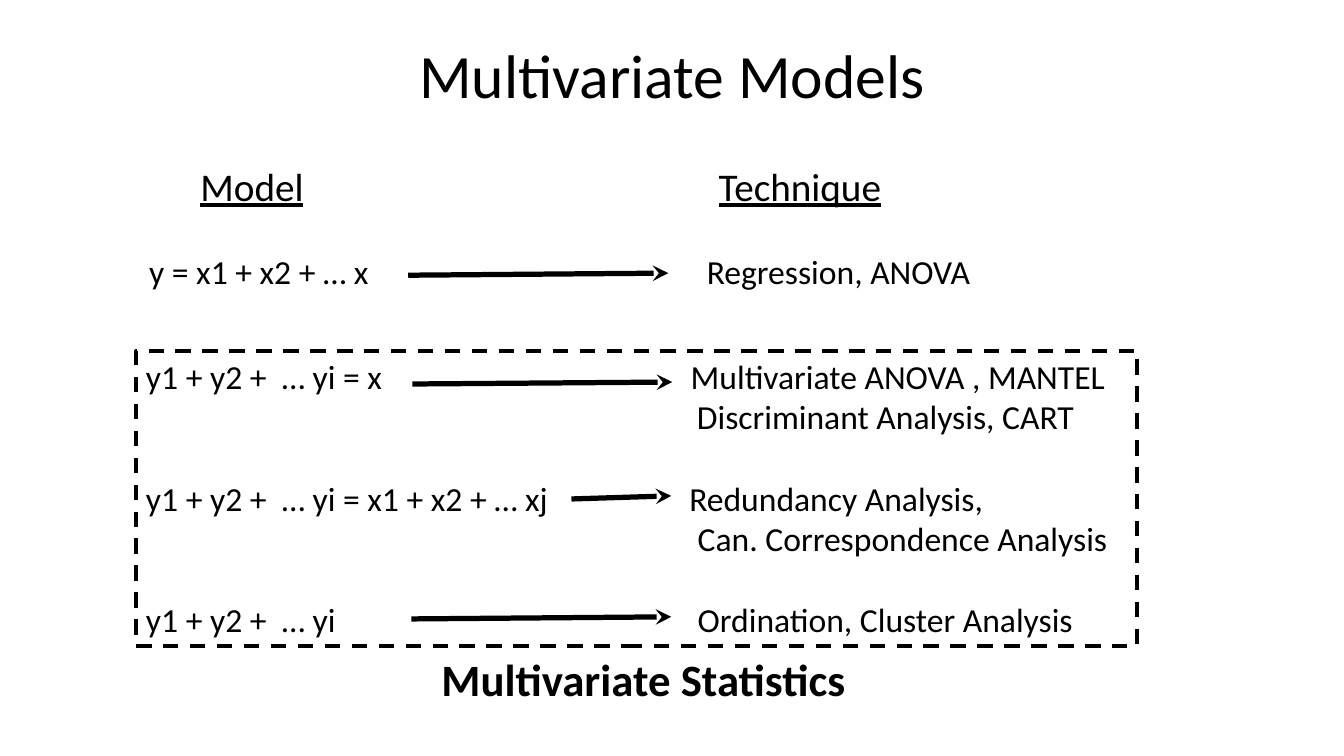
from lxml.etree import SubElement
from pptx import Presentation
from pptx.dml.color import RGBColor
from pptx.enum.dml import MSO_LINE_DASH_STYLE as Dash
from pptx.enum.shapes import MSO_CONNECTOR as Conn, MSO_SHAPE as Shape
from pptx.enum.text import MSO_ANCHOR as Anchor, PP_ALIGN as Align
from pptx.oxml.ns import qn
from pptx.util import Pt

INK = "000000"
FONT = "Calibri"
GAP = 29.3

TITLE = "Multivariate Models"
FOOT = "Multivariate Statistics"
HEADS = [("Model", "Technique", 513.5, 0)]
FIRST = [("y = x1 + x2 + … x", "Regression, ANOVA", 505, 0)]
MULTI = [
    ("y1 + y2 +  … yi = x", "Multivariate ANOVA , MANTEL", 493.5, 0),
    ("", "Discriminant Analysis, CART", 498, 0),
    ("y1 + y2 +  … yi = x1 + x2 + … xj", "Redundancy Analysis,", 492.5, GAP),
    ("", "Can. Correspondence Analysis", 498.5, 0),
    ("y1 + y2 +  … yi", "Ordination, Cluster Analysis", 498.5, GAP),
]
ARROWS = [
    (291.6, 196.6, 477.4, 195.1),
    (294.5, 274.3, 480.2, 272.9),
    (408.2, 356.4, 479.5, 354.2),
    (293.8, 442.1, 479.5, 440.6),
]


def color(hue):
    return RGBColor.from_string(hue)


def add_run(para, text, size, bold=False, under=False):
    run = para.add_run()
    run.text = text
    font = run.font
    font.name, font.size = FONT, Pt(size)
    font.bold, font.underline = bold, under
    font.color.rgb = color(INK)


def set_tab(para, pos):
    tabs = SubElement(para._p.get_or_add_pPr(), qn("a:tabLst"))
    SubElement(tabs, qn("a:tab"), pos=str(Pt(pos)), algn="l")


def add_box(left, top, wide, high):
    box = slide.shapes.add_textbox(Pt(left), Pt(top), Pt(wide), Pt(high))
    box.text_frame.word_wrap = True
    return box


def add_rows(box, rows, size, under=False):
    frame = box.text_frame
    start = (box.left + frame.margin_left) / Pt(1)
    for i, (model, tech, at, gap) in enumerate(rows):
        para = frame.add_paragraph() if i else frame.paragraphs[0]
        para.alignment = Align.LEFT
        para.space_before = Pt(gap)
        set_tab(para, at - start)
        if model:
            add_run(para, model, size, under=under)
        add_run(para, "\t", size)
        add_run(para, tech, size, under=under)


def add_arrow(x1, y1, x2, y2):
    arrow = slide.shapes.add_connector(Conn.STRAIGHT, Pt(x1), Pt(y1), Pt(x2), Pt(y2))
    arrow.line.color.rgb = color(INK)
    arrow.line.width = Pt(3.75)
    SubElement(arrow.line._get_or_add_ln(), qn("a:tailEnd"), type="stealth")
    SubElement(arrow._element.spPr, qn("a:effectLst"))


deck = Presentation()
deck.slide_width, deck.slide_height = Pt(960), Pt(540)
slide = deck.slides.add_slide(deck.slide_layouts[6])

add_rows(add_box(99.4, 175.7, 766.8, 36), FIRST, 24)

frame = slide.shapes.add_shape(Shape.RECTANGLE, Pt(97.2), Pt(250.6), Pt(715), Pt(211))
frame.shadow.inherit = False
frame.fill.background()
frame.line.color.rgb = color(INK)
frame.line.width = Pt(2.75)
frame.line.dash_style = Dash.DASH
frame.text_frame.word_wrap = True
frame.text_frame.vertical_anchor = Anchor.TOP
add_rows(frame, MULTI, 24)

add_rows(add_box(136.1, 112.3, 558, 41), HEADS, 28, under=True)

for ends in ARROWS:
    add_arrow(*ends)

foot = add_box(308.2, 462.2, 306.7, 46)
foot.text_frame.word_wrap = False
add_run(foot.text_frame.paragraphs[0], FOOT, 32, bold=True)

head = add_box(66.2, 28.8, 828, 104.4).text_frame.paragraphs[0]
head.alignment = Align.CENTER
head.line_spacing = 0.9
add_run(head, TITLE, 44)

deck.save("out.pptx")
